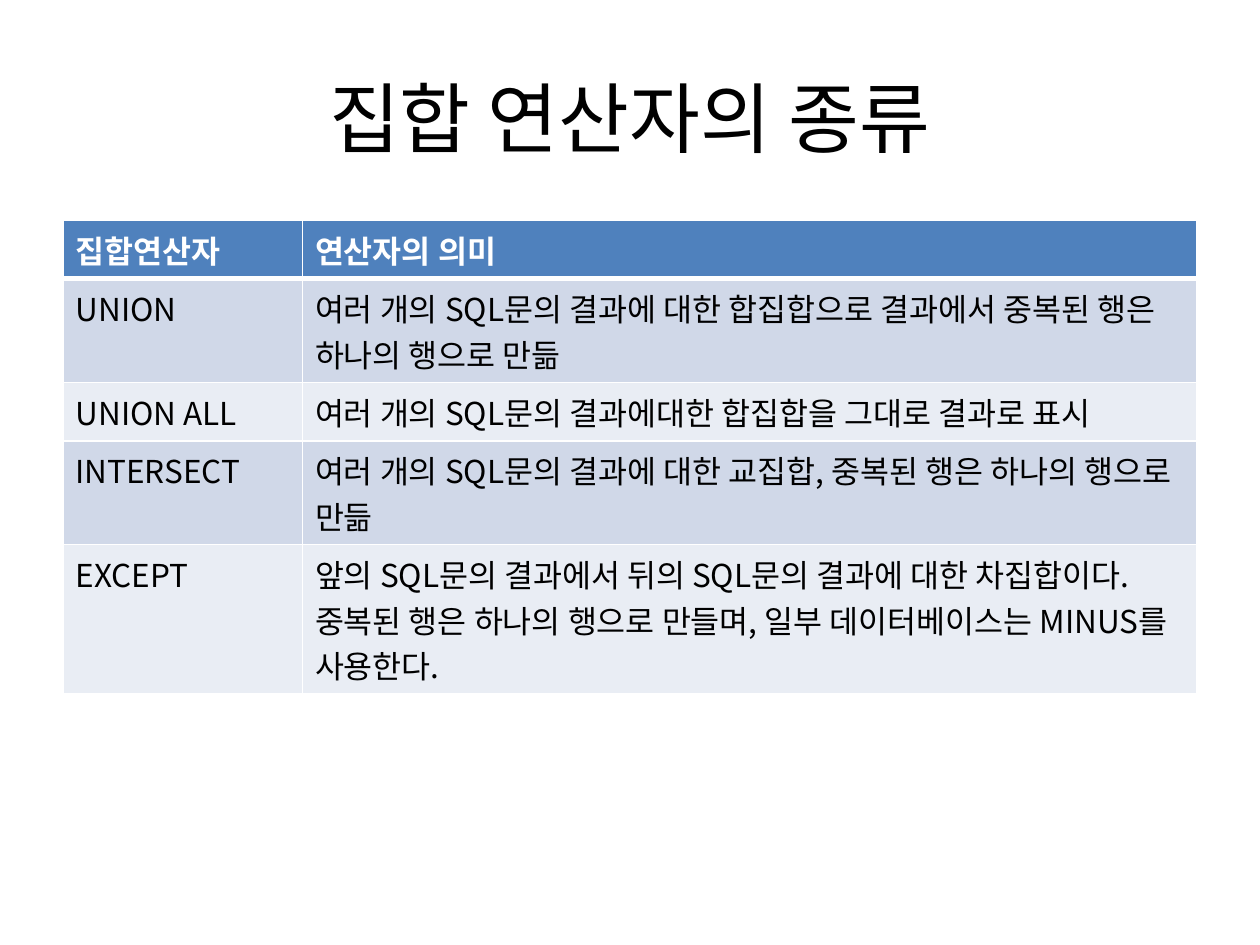
"""Build a slide with a table of SQL set operators."""
import pptx
import pptx.dml.color
import pptx.enum.text
import pptx.oxml
import pptx.oxml.ns
import pptx.util

Pt = pptx.util.Pt
FONT = "Noto Sans CJK KR"
COLORS = {"header": "4F81BD", "odd": "D0D8E8", "even": "E9EDF4",
          "white": "FFFFFF", "black": "000000"}
COLUMN_WIDTHS = (136.8, 511.2)
ROW_HEIGHT = 29.2
ROWS = [
    ("집합연산자", "연산자의 의미"),
    ("UNION", "여러 개의 SQL문의 결과에 대한 합집합으로 결과에서 중복된 행은 하나의 행으로 만듦"),
    ("UNION ALL", "여러 개의 SQL문의 결과에대한 합집합을 그대로 결과로 표시"),
    ("INTERSECT", "여러 개의 SQL문의 결과에 대한 교집합, 중복된 행은 하나의 행으로 만듦"),
    ("EXCEPT", "앞의 SQL문의 결과에서 뒤의 SQL문의 결과에 대한 차집합이다. "
               "중복된 행은 하나의 행으로 만들며, 일부 데이터베이스는 MINUS를 사용한다."),
]


def rgb(name):
    """Return the named colour."""
    return pptx.dml.color.RGBColor.from_string(COLORS[name])


def format_text(p, size, color, bold=False):
    """Set the paragraph font for Latin and East Asian text."""
    f = p.font
    f.size, f.bold, f.name = Pt(size), bold, FONT
    f.color.rgb = rgb(color)
    ns = pptx.oxml.ns.nsdecls("a")
    ea = pptx.oxml.parse_xml(f'<a:ea {ns} typeface="{FONT}"/>')
    p._p.pPr.find(pptx.oxml.ns.qn("a:defRPr")).append(ea)


def set_borders(cell, bottom, top):
    """Draw white borders around a cell, with the given top and bottom widths."""
    tcPr = cell._tc.get_or_add_tcPr()
    ns = pptx.oxml.ns.nsdecls("a")
    for i, (side, width) in enumerate((("L", 1), ("R", 1), ("T", top), ("B", bottom))):
        tcPr.insert(i, pptx.oxml.parse_xml(
            f'<a:ln{side} {ns} w="{Pt(width)}"><a:solidFill>'
            f'<a:srgbClr val="{COLORS["white"]}"/></a:solidFill></a:ln{side}>'))


def add_title(s, text):
    """Fill and place the title placeholder."""
    sp = s.shapes.title
    sp.left, sp.top, sp.width, sp.height = Pt(36), Pt(21.6), Pt(648), Pt(90)
    tf = sp.text_frame
    tf.text = text
    tf.vertical_anchor = pptx.enum.text.MSO_ANCHOR.MIDDLE
    p = tf.paragraphs[0]
    p.alignment = pptx.enum.text.PP_ALIGN.CENTER
    format_text(p, 44, "black")


def add_operator_table(s):
    """Add the operator table with a header and banded rows."""
    table = s.shapes.add_table(
        len(ROWS), len(COLUMN_WIDTHS), Pt(36), Pt(126),
        Pt(sum(COLUMN_WIDTHS)), Pt(ROW_HEIGHT * len(ROWS))).table
    for column, width in zip(table.columns, COLUMN_WIDTHS):
        column.width = Pt(width)
    for i, texts in enumerate(ROWS):
        table.rows[i].height = Pt(ROW_HEIGHT)
        header = i == 0
        fill = "header" if header else "odd" if i % 2 else "even"
        for j, text in enumerate(texts):
            cell = table.cell(i, j)
            cell.text = text
            cell.fill.solid()
            cell.fill.fore_color.rgb = rgb(fill)
            set_borders(cell, bottom=3 if header else 1, top=3 if i == 1 else 1)
            format_text(cell.text_frame.paragraphs[0], 18,
                        "white" if header else "black", header)


def main():
    """Build and save the slide."""
    prs = pptx.Presentation()
    prs.slide_width, prs.slide_height = Pt(720), Pt(540)
    s = prs.slides.add_slide(prs.slide_layouts[5])
    add_title(s, "집합 연산자의 종류")
    add_operator_table(s)
    prs.save("out.pptx")


if __name__ == "__main__":
    main()
